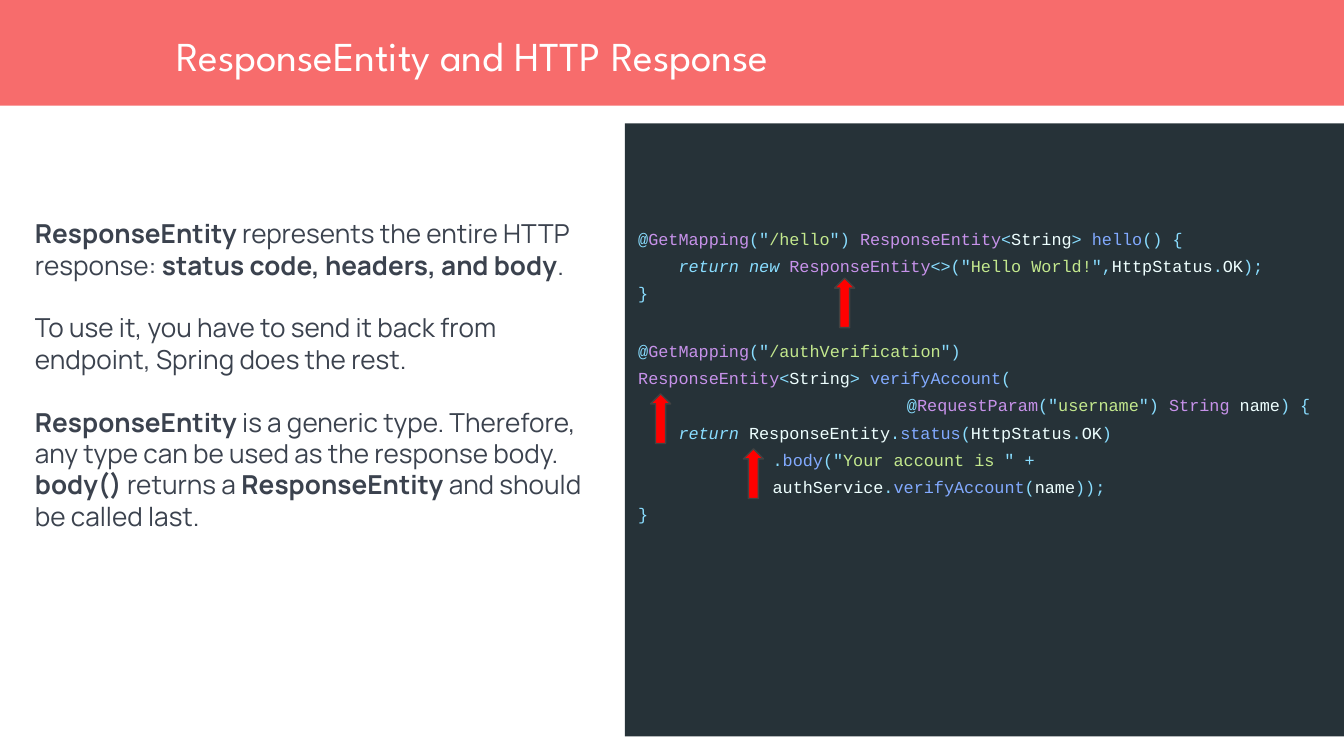
from pptx import Presentation
from pptx.dml.color import RGBColor
from pptx.enum import shapes, text
from pptx.oxml.ns import qn
from pptx.util import Pt

CORAL = RGBColor(0xF7, 0x6C, 0x6C)
WHITE = RGBColor(0xFF, 0xFF, 0xFF)
INK = RGBColor(0x3B, 0x42, 0x4E)
PANEL = RGBColor(0x26, 0x32, 0x38)
RED = RGBColor(0xFF, 0x00, 0x00)
OUTLINE = RGBColor(0x42, 0x42, 0x42)

# Syntax colours of the code panel
PUNCT = dict(color=RGBColor(0x89, 0xDD, 0xFF))
KEYWORD = dict(PUNCT, italic=True)
TYPE = dict(color=RGBColor(0xC7, 0x92, 0xEA))
STRING = dict(color=RGBColor(0xC3, 0xE8, 0x8D))
PLAIN = dict(color=RGBColor(0xEE, 0xFF, 0xFF))
CALL = dict(color=RGBColor(0x82, 0xAA, 0xFF))
BOLD = dict(bold=True)
REGULAR = dict(bold=False)

BODY = [
    [("ResponseEntity ", BOLD), ("represents the entire HTTP response: ", REGULAR),
     ("status code, headers, and body", BOLD), (".", REGULAR)],
    [("To use it, you have to send it back from endpoint, Spring does the rest.", REGULAR)],
    [("ResponseEntity ", BOLD),
     ("is a generic type. Therefore, any type can be used as the response body. ", REGULAR),
     ("body()", BOLD), (" returns a ", REGULAR), ("ResponseEntity ", BOLD),
     ("and should be called last.", REGULAR)],
]

# Each line of code: left indent, space before, runs
CODE = [
    (0, 0, [("@", PUNCT), ("GetMapping", TYPE), ("(\"", PUNCT), ("/hello", STRING),
            ("\") ", PUNCT), ("ResponseEntity", TYPE), ("<", PUNCT), ("String", PLAIN),
            ("> ", PUNCT), ("hello", CALL), ("() {", PUNCT)]),
    (21.6, 0, [("return new ", KEYWORD), ("ResponseEntity", TYPE), ("<>(\"", PUNCT),
               ("Hello World!", STRING), ("\",", PUNCT), ("HttpStatus", PLAIN),
               (".", PUNCT), ("OK", PLAIN), (");", PUNCT)]),
    (0, 0, [("}", PUNCT)]),
    (0, 16.5, [("@", PUNCT), ("GetMapping", TYPE), ("(\"", PUNCT),
               ("/authVerification", STRING), ("\")", PUNCT)]),
    (0, 0, [("ResponseEntity", TYPE), ("<", PUNCT), ("String", PLAIN), ("> ", PUNCT),
            ("verifyAccount", CALL), ("(", PUNCT)]),
    (144, 0, [("@", PUNCT), ("RequestParam", TYPE), ("(\"", PUNCT), ("username", STRING),
              ("\") ", PUNCT), ("String", TYPE), (" name", PLAIN), (") {", PUNCT)]),
    (21.6, 0, [("return", KEYWORD), (" ResponseEntity", PLAIN), (".", PUNCT),
               ("status", CALL), ("(", PUNCT), ("HttpStatus", PLAIN), (".", PUNCT),
               ("OK", PLAIN), (")", PUNCT)]),
    (72, 0, [(".", PUNCT), ("body", CALL), ("(\"", PUNCT), ("Your account is ", STRING),
             ("\" +", PUNCT)]),
    (72, 0, [("authService", PLAIN), (".", PUNCT), ("verifyAccount", CALL), ("(", PUNCT),
             ("name", PLAIN), ("));", PUNCT)]),
    (0, 0, [("}", PUNCT)]),
]

ARROWS = [(447.1, 149), (348.5, 211), (398.2, 240.5)]


def add_run(p, words, font, size, color, bold=False, italic=False):
    r = p.add_run()
    r.text = words
    r.font.name, r.font.size = font, Pt(size)
    r.font.bold, r.font.italic = bold, italic
    r.font.color.rgb = color


def place(sp, left, top, width, height):
    sp.left, sp.top, sp.width, sp.height = (Pt(v) for v in (left, top, width, height))


def set_frame(sp, side, top, anchor=text.MSO_ANCHOR.TOP):
    tf = sp.text_frame
    tf.word_wrap, tf.auto_size = True, text.MSO_AUTO_SIZE.NONE
    tf.vertical_anchor = anchor
    tf.margin_left = tf.margin_right = tf.margin_bottom = Pt(side)
    tf.margin_top = Pt(top)
    return tf


def add_paragraph(tf, first, line=None, before=0, indent=0):
    """Start a left-aligned paragraph without a bullet."""
    p = tf.paragraphs[0] if first else tf.add_paragraph()
    p.alignment = text.PP_ALIGN.LEFT
    p.space_before, p.space_after = Pt(before), Pt(0)
    if line:
        p.line_spacing = Pt(line)
    pPr = p._p.get_or_add_pPr()
    pPr.set("marL", str(Pt(indent)))
    pPr.set("indent", "0")
    pPr.append(pPr.makeelement(qn("a:buNone"), {}))
    return p


def add_shape(s, kind, box, fill, line=None):
    sp = s.shapes.add_shape(kind, *(Pt(v) for v in box))
    sp.shadow.inherit = False
    sp.fill.solid()
    sp.fill.fore_color.rgb = fill
    if line is None:
        sp.line.fill.background()
    else:
        sp.line.color.rgb = line
        sp.line.width = Pt(0.75)
    return sp


def add_band(s):
    """Draw the header band behind the placeholders."""
    band = add_shape(s, shapes.MSO_SHAPE.RECTANGLE, (-1.4, 0, 722.8, 56.7), CORAL)
    band._element.getparent().insert(2, band._element)


def fill_title(sp):
    place(sp, 87.1, 5.8, 403.2, 47.5)
    tf = set_frame(sp, 7.2, 7.2, text.MSO_ANCHOR.MIDDLE)
    add_run(add_paragraph(tf, True), "ResponseEntity and HTTP Response",
            "League Spartan", 22, WHITE)


def fill_body(sp):
    place(sp, 18.7, 66.2, 308.9, 328.3)
    tf = set_frame(sp, 0, 50.4)
    for i, runs in enumerate(BODY):
        p = add_paragraph(tf, i == 0, line=16.8, before=16.8 if i else 0)
        for words, style in runs:
            add_run(p, words, "Manrope", 14, INK, **style)


def add_code_panel(s):
    sp = add_shape(s, shapes.MSO_SHAPE.RECTANGLE, (334.8, 66.2, 385.2, 328.3), PANEL)
    tf = set_frame(sp, 7.2, 52.4)
    for i, (indent, before, runs) in enumerate(CODE):
        p = add_paragraph(tf, i == 0, line=14.57, before=before, indent=indent)
        for words, style in runs:
            add_run(p, words, "Courier New", 9, **style)


def main():
    prs = Presentation()
    prs.slide_width, prs.slide_height = Pt(720), Pt(405)
    s = prs.slides.add_slide(prs.slide_layouts[1])
    add_band(s)
    fill_title(s.shapes.title)
    fill_body(s.placeholders[1])
    add_code_panel(s)
    for left, top in ARROWS:
        add_shape(s, shapes.MSO_SHAPE.UP_ARROW, (left, top, 10.8, 26.6), RED, OUTLINE)
    prs.save("out.pptx")


if __name__ == "__main__":
    main()
